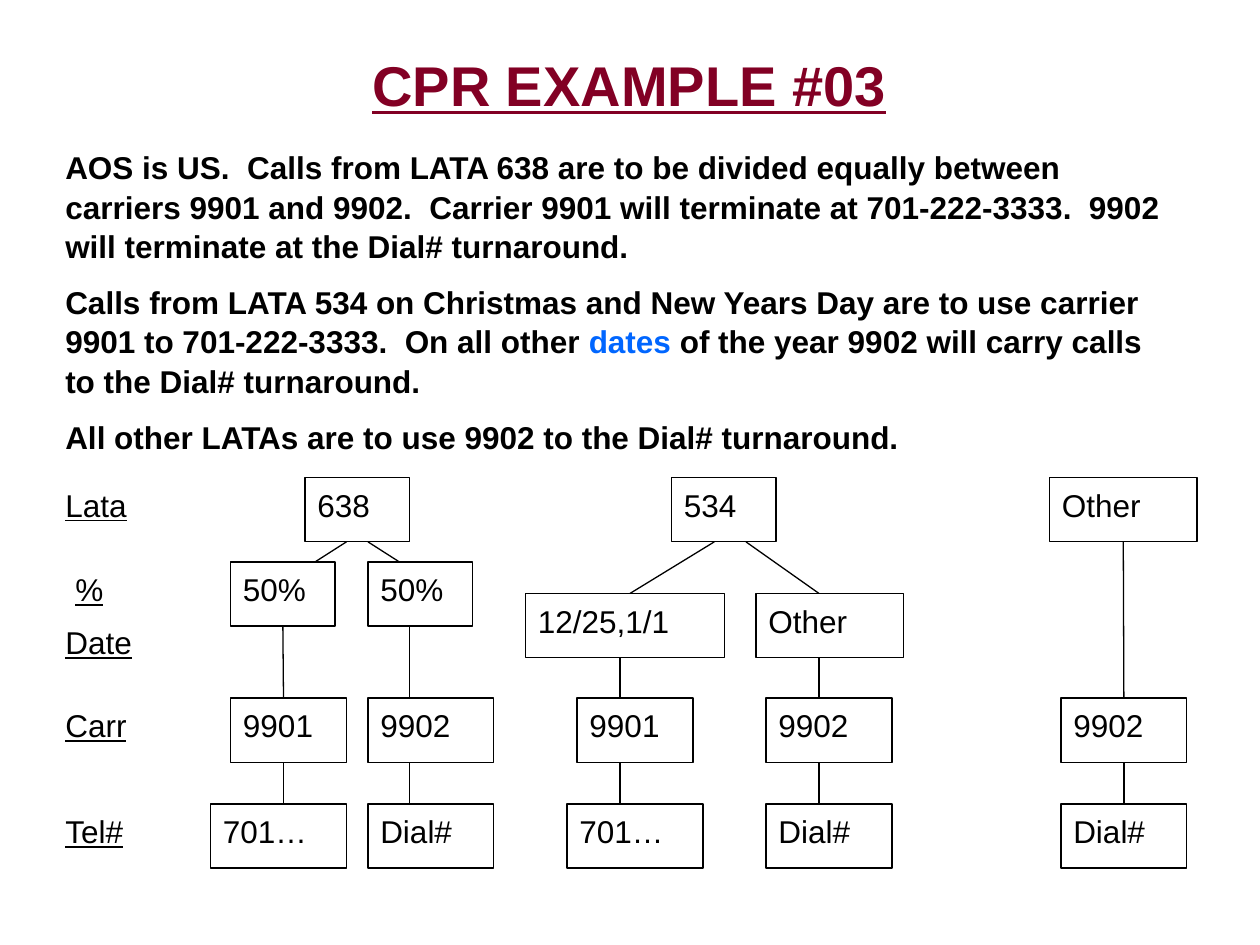
from itertools import pairwise

from lxml import etree
from pptx import Presentation
from pptx.dml.color import RGBColor
from pptx.enum import shapes, text
from pptx.oxml.ns import qn
from pptx.util import Inches, Pt

BLACK = RGBColor(0x00, 0x00, 0x00)
MAROON = RGBColor(0x82, 0x00, 0x24)
BLUE = RGBColor(0x00, 0x66, 0xFF)
FONT = "Arial"
BOX_HEIGHT = 0.51

# Row tops, measured from the top of the diagram
LATA, PERCENT, DATE, CARRIER, TELEPHONE = 0, 0.67, 0.92, 1.75, 2.59

LABELS = [("Lata", 0, LATA), ("%", 0.08, PERCENT), ("Date", 0, 1.09),
          ("Carr", 0, CARRIER), ("Tel#", 0, TELEPHONE)]

# Each tree: left, root (text, left, width) and branches.
# Each branch: x on the root, x at its first box, x of the drop lines,
# and boxes (text, left, width, row). All x are relative to the tree.
TREES = [
    (1.25, ("638", 0.75, 0.83), [
        (1.08, 0.83, 0.58, [("50%", 0.16, 0.83, PERCENT),
                            ("9901", 0.16, 0.92, CARRIER),
                            ("701…", 0, 1.08, TELEPHONE)]),
        (1.25, 1.5, 1.58, [("50%", 1.25, 0.83, PERCENT),
                           ("9902", 1.25, 1, CARRIER),
                           ("Dial#", 1.25, 1, TELEPHONE)]),
    ]),
    (3.75, ("534", 1.16, 0.83), [
        (1.5, 0.83, 0.75, [("12/25,1/1", 0, 1.58, DATE),
                           ("9901", 0.41, 0.92, CARRIER),
                           ("701…", 0.33, 1.08, TELEPHONE)]),
        (1.75, 2.33, 2.33, [("Other", 1.83, 1.17, DATE),
                            ("9902", 1.91, 1, CARRIER),
                            ("Dial#", 1.91, 1, TELEPHONE)]),
    ]),
    (7.91, ("Other", 0, 1.17), [
        (0.59, 0.59, 0.59, [("9902", 0.09, 1, CARRIER),
                            ("Dial#", 0.09, 1, TELEPHONE)]),
    ]),
]

STATEMENTS = [
    ["AOS is US.  Calls from LATA 638 are to be divided equally between "
     "carriers 9901 and 9902.  Carrier 9901 will terminate at 701-222-3333.  "
     "9902 will terminate at the Dial# turnaround."],
    ["Calls from LATA 534 on Christmas and New Years Day are to use carrier "
     "9901 to 701-222-3333.  On all other ", "dates",
     " of the year 9902 will carry calls to the Dial# turnaround."],
    ["All other LATAs are to use 9902 to the Dial# turnaround."],
]


def format_font(font, size=18, color=BLACK, bold=False, underline=False):
    font.name, font.size = FONT, Pt(size)
    font.bold, font.underline = bold, underline
    font.color.rgb = color


def add_text_box(slide, left, top, width, height):
    shape = slide.shapes.add_textbox(Inches(left), Inches(top),
                                     Inches(width), Inches(height))
    shape.text_frame.word_wrap = True
    return shape.text_frame


def add_title(slide, left, top, width, height):
    frame = add_text_box(slide, left, top, width, height)
    frame.vertical_anchor = text.MSO_ANCHOR.MIDDLE
    frame.text = "CPR EXAMPLE #03"
    paragraph = frame.paragraphs[0]
    paragraph.alignment = text.PP_ALIGN.CENTER
    format_font(paragraph.runs[0].font, 32, MAROON, bold=True, underline=True)


def add_statements(slide, left, top, width, height):
    frame = add_text_box(slide, left, top, width, height)
    for index, parts in enumerate(STATEMENTS):
        paragraph = frame.add_paragraph() if index else frame.paragraphs[0]
        paragraph.line_spacing = 1.05
        if index:
            paragraph.space_before = Pt(9)
        for part in parts:
            run = paragraph.add_run()
            run.text = part
            color = BLUE if part == "dates" else BLACK
            format_font(run.font, color=color, bold=True)


def add_labels(slide, left, top):
    for label, indent, row in LABELS:
        frame = add_text_box(slide, left + indent, top + row, 1.08, 0.5)
        frame.text = label
        frame.paragraphs[0].line_spacing = 1.05
        format_font(frame.paragraphs[0].runs[0].font, underline=True)


def add_box(slide, label, left, top, width):
    shape = slide.shapes.add_shape(
        shapes.MSO_SHAPE.RECTANGLE, Inches(left), Inches(top),
        Inches(width), Inches(BOX_HEIGHT))
    shape.shadow.inherit = False
    shape.fill.background()
    shape.line.color.rgb = BLACK
    shape.line.width = Pt(0.75)
    frame = shape.text_frame
    frame.word_wrap = True
    frame.vertical_anchor = text.MSO_ANCHOR.TOP
    frame.text = label
    paragraph = frame.paragraphs[0]
    paragraph.alignment = text.PP_ALIGN.LEFT
    paragraph.line_spacing = 1.05
    format_font(paragraph.runs[0].font)
    return shape


def is_middle(shape, x):
    return abs(shape.left + shape.width / 2 - Inches(x)) < Inches(0.01)


def add_link(slide, upper, lower, start_x, end_x):
    """Draw a line between two boxes, joined where it meets a side's middle."""
    line = slide.shapes.add_connector(
        shapes.MSO_CONNECTOR.STRAIGHT, Inches(start_x),
        upper.top + upper.height, Inches(end_x), lower.top)
    line.line.color.rgb = BLACK
    line.line.width = Pt(0.75)
    etree.SubElement(line._element.spPr, qn("a:effectLst"))
    if is_middle(upper, start_x):
        line.begin_connect(upper, 2)
    if is_middle(lower, end_x):
        line.end_connect(lower, 0)


def add_tree(slide, left, top, root, branches):
    label, root_left, root_width = root
    root_box = add_box(slide, label, left + root_left, top + LATA, root_width)
    for root_x, entry_x, drop_x, cells in branches:
        boxes = [add_box(slide, label, left + x, top + row, width)
                 for label, x, width, row in cells]
        add_link(slide, root_box, boxes[0], left + root_x, left + entry_x)
        for upper, lower in pairwise(boxes):
            add_link(slide, upper, lower, left + drop_x, left + drop_x)


def add_diagram(slide, left, top):
    add_labels(slide, left, top)
    for tree_left, root, branches in TREES:
        add_tree(slide, left + tree_left, top, root, branches)


def main():
    presentation = Presentation()
    presentation.slide_width, presentation.slide_height = Inches(10), Inches(7.5)
    slide = presentation.slides.add_slide(presentation.slide_layouts[6])
    add_title(slide, 2.58, 0.25, 4.83, 0.83)
    add_statements(slide, 0.42, 1.11, 9, 2.51)
    add_diagram(slide, 0.42, 3.79)
    presentation.save("out.pptx")


if __name__ == "__main__":
    main()
